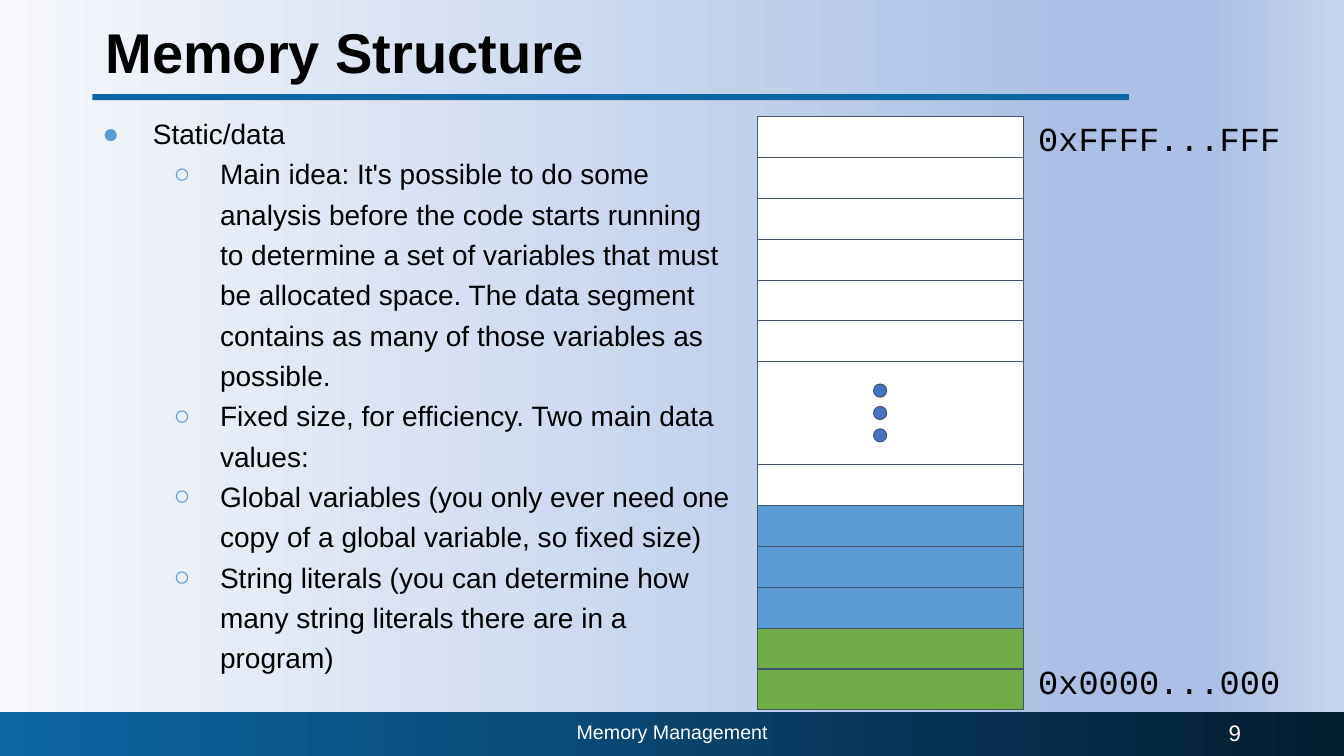
import pptx
import pptx.util
import pptx.dml.color
import pptx.enum.shapes
import pptx.enum.text
import pptx.oxml.ns
import lxml.etree

Pt = pptx.util.Pt
RGB = pptx.dml.color.RGBColor
SHAPE = pptx.enum.shapes.MSO_SHAPE
ALIGN = pptx.enum.text.PP_ALIGN
ANCHOR = pptx.enum.text.MSO_ANCHOR
qn = pptx.oxml.ns.qn

BLACK = RGB(0x00, 0x00, 0x00)
WHITE = RGB(0xFF, 0xFF, 0xFF)
RULE = RGB(0x0C, 0x66, 0xA4)
OUTLINE = RGB(0x44, 0x54, 0x6A)
DOT = RGB(0x44, 0x72, 0xC4)
DATA = RGB(0x5B, 0x9B, 0xD5)
CODE = RGB(0x70, 0xAD, 0x47)
BACKGROUND = [(0, RGB(0xF6, 0xF8, 0xFC)), (80, RGB(0xAB, 0xC0, 0xE4)),
              (90, RGB(0xAB, 0xC0, 0xE4)), (100, RGB(0xC7, 0xD5, 0xED))]
FOOTER = [(0, RULE), (40, RGB(0x09, 0x4C, 0x7B)),
          (69, RGB(0x06, 0x33, 0x52)), (100, RGB(0x03, 0x1D, 0x2F))]

prs = pptx.Presentation()
prs.slide_width, prs.slide_height = Pt(960), Pt(540)
s = prs.slides.add_slide(prs.slide_layouts[6])


def add_block(kind, x, y, w, h, color, outlined=True):
    sp = s.shapes.add_shape(kind, Pt(x), Pt(y), Pt(w), Pt(h))
    sp.shadow.inherit = False
    sp.fill.solid()
    sp.fill.fore_color.rgb = color
    if outlined:
        sp.line.color.rgb = OUTLINE
        sp.line.width = Pt(0.75)
    else:
        sp.line.fill.background()
    return sp


def add_text(x, y, w, h, lines, size, color=BLACK, font="Arial", inset=9.4):
    tf = s.shapes.add_textbox(Pt(x), Pt(y), Pt(w), Pt(h)).text_frame
    tf.word_wrap = True
    tf.margin_left = tf.margin_right = tf.margin_top = tf.margin_bottom = Pt(inset)
    tf.text = "\n".join(lines)
    for p in tf.paragraphs:
        for r in p.runs:
            r.font.size, r.font.name, r.font.color.rgb = Pt(size), font, color
    return tf


# Background and footer bar gradients
bar = add_block(SHAPE.RECTANGLE, 0, 508.5, 960, 31.5, RULE, outlined=False)
for fill, element, stops in ((s.background.fill, s.element, BACKGROUND),
                             (bar.fill, bar.element, FOOTER)):
    fill.gradient()
    fill.gradient_angle = 0
    stop_list = next(element.iter(qn("a:gsLst")))
    for old in list(stop_list):
        stop_list.remove(old)
    for percent, color in stops:
        gs = lxml.etree.SubElement(stop_list, qn("a:gs"), pos=str(percent * 1000))
        lxml.etree.SubElement(gs, qn("a:srgbClr"), val=str(color))

# Title and rule
add_block(SHAPE.RECTANGLE, 66, 67.2, 740.4, 4.4, RULE, outlined=False)
title = add_text(66, 8.6, 828, 72.7, ["Memory Structure"], 40).paragraphs[0]
title.line_spacing = 0.9
title.runs[0].font.bold = True

# Memory cells, stacked from the highest address down
CELL, GAP = 29.2, 73.4
y = 83.3
cells = [(CELL, WHITE)] * 6 + [(GAP, WHITE), (CELL, WHITE)]
cells += [(CELL, DATA)] * 3 + [(CELL, CODE)] * 2
for height, color in cells:
    add_block(SHAPE.RECTANGLE, 541.2, y, 189.6, height, color)
    y += height

# Dots for the omitted cells
for i in range(3):
    add_block(SHAPE.OVAL, 624, 274.3 + 16 * i, 9.4, 9.4, DOT)

# Bulleted explanation
body = add_text(51.8, 69.1, 480.2, 409.7, [
    "Static/data",
    "Main idea: It's possible to do some analysis before the code starts running "
    "to determine a set of variables that must be allocated space. The data "
    "segment contains as many of those variables as possible.",
    "Fixed size, for efficiency. Two main data values:",
    "Global variables (you only ever need one copy of a global variable, so fixed size)",
    "String literals (you can determine how many string literals there are in a program)",
], 20)
for i, p in enumerate(body.paragraphs):
    p.level = min(i, 1)
    p.line_spacing = 1.2
    margin, hanging, bullet = (96, 33.1, "○") if i else (48, 36, "●")
    pPr = p._p.get_or_add_pPr()
    pPr.set("marL", str(Pt(margin)))
    pPr.set("indent", str(-Pt(hanging)))
    bullet_color = lxml.etree.SubElement(pPr, qn("a:buClr"))
    lxml.etree.SubElement(bullet_color, qn("a:srgbClr"), val=str(DATA))
    lxml.etree.SubElement(pPr, qn("a:buFont"), typeface="Arial")
    lxml.etree.SubElement(pPr, qn("a:buChar"), char=bullet)

# Footer text and slide number
for x, y, w, text, size, align in (
        (318.2, 508.3, 324, "Memory Management", 14, ALIGN.CENTER),
        (677.5, 509, 216, "9", 16, ALIGN.RIGHT)):
    tf = add_text(x, y, w, 28.8, [text], size, WHITE, inset=7.2)
    tf.margin_top = tf.margin_bottom = Pt(3.6)
    tf.vertical_anchor = ANCHOR.MIDDLE
    tf.paragraphs[0].alignment = align

# Address labels
for y, w, address in ((463, 194.4, "0x0000...000"), (74.9, 210.2, "0xFFFF...FFF")):
    add_text(732.2, y, w, 48.2, [address], 24, font="Courier New")

prs.save("out.pptx")
